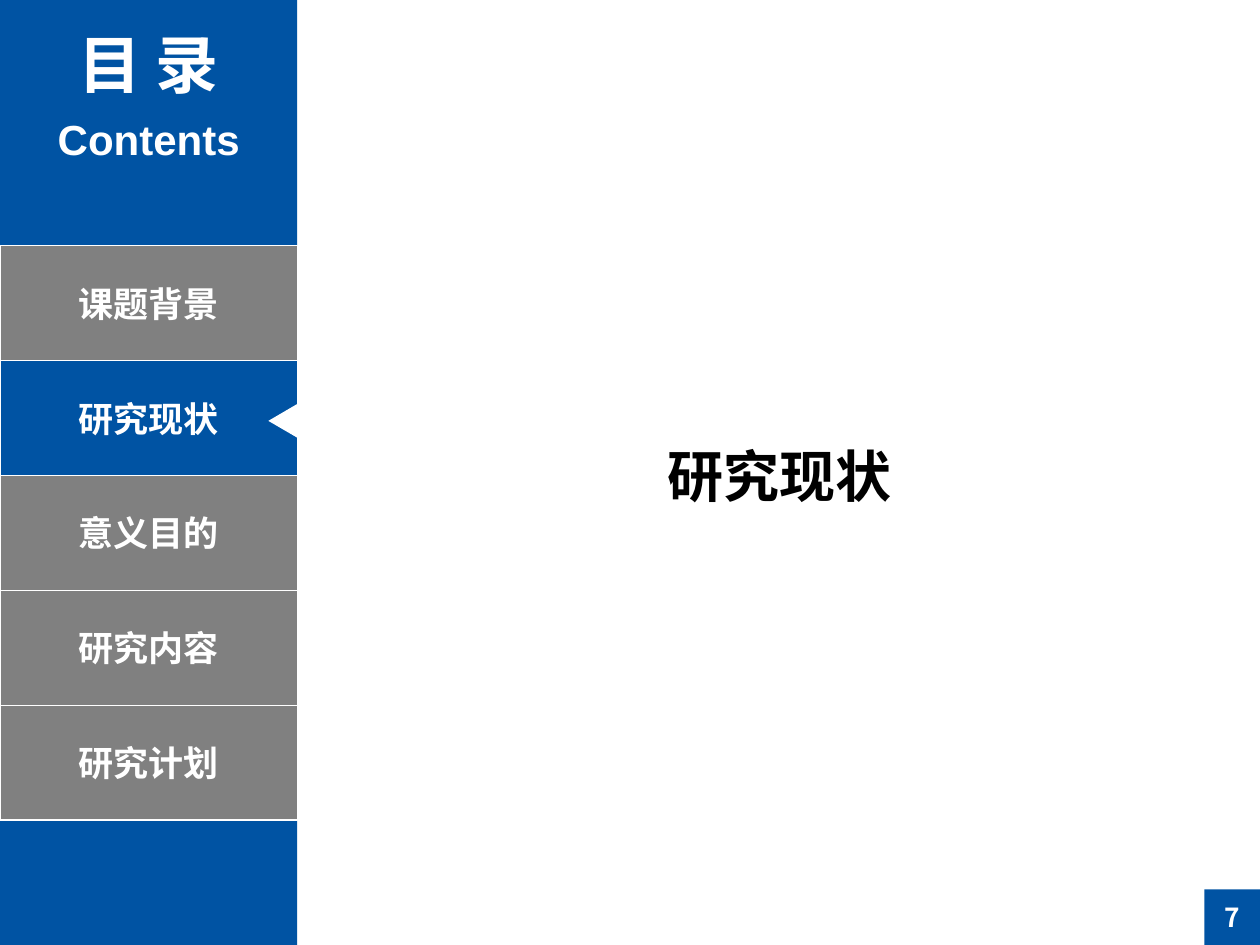
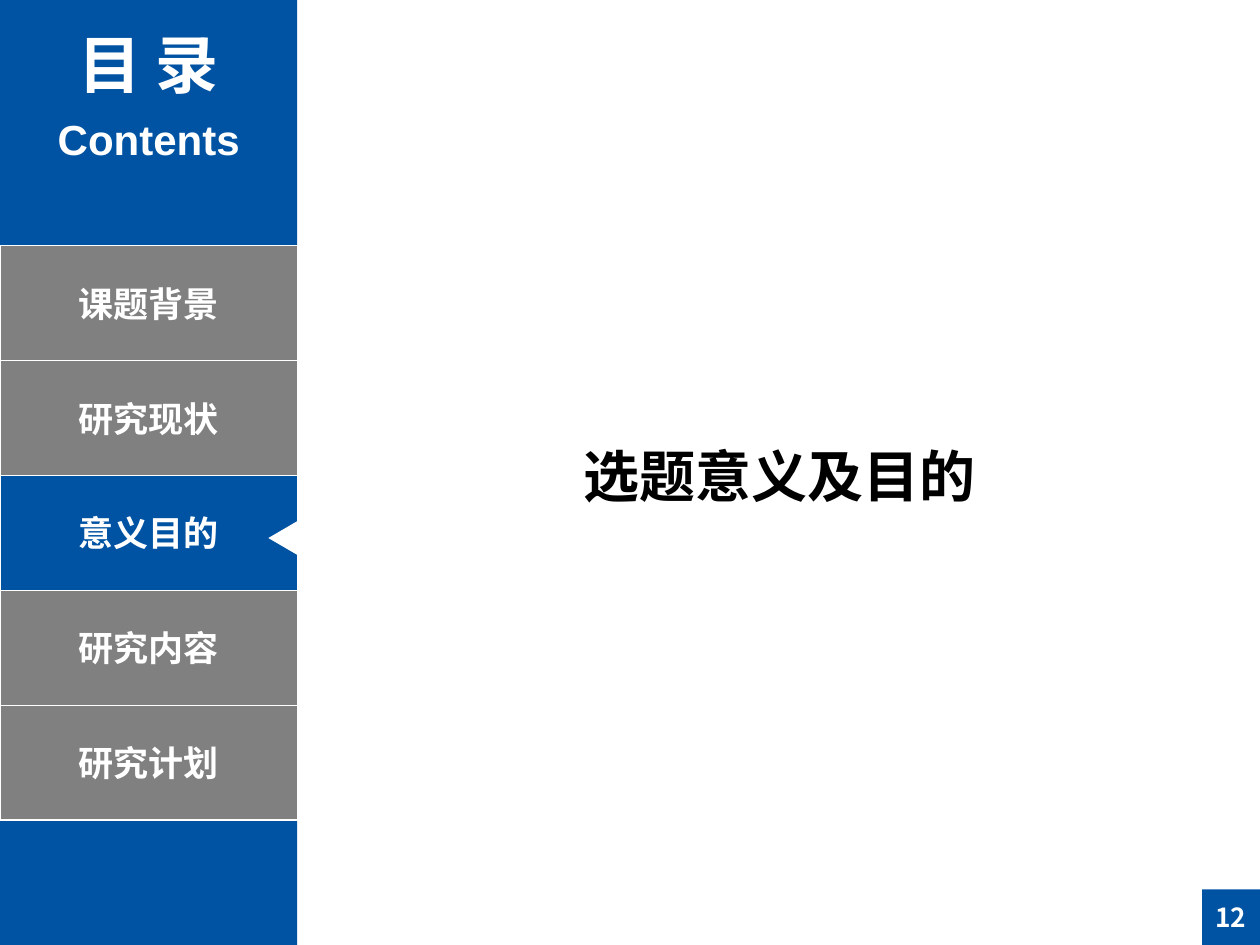
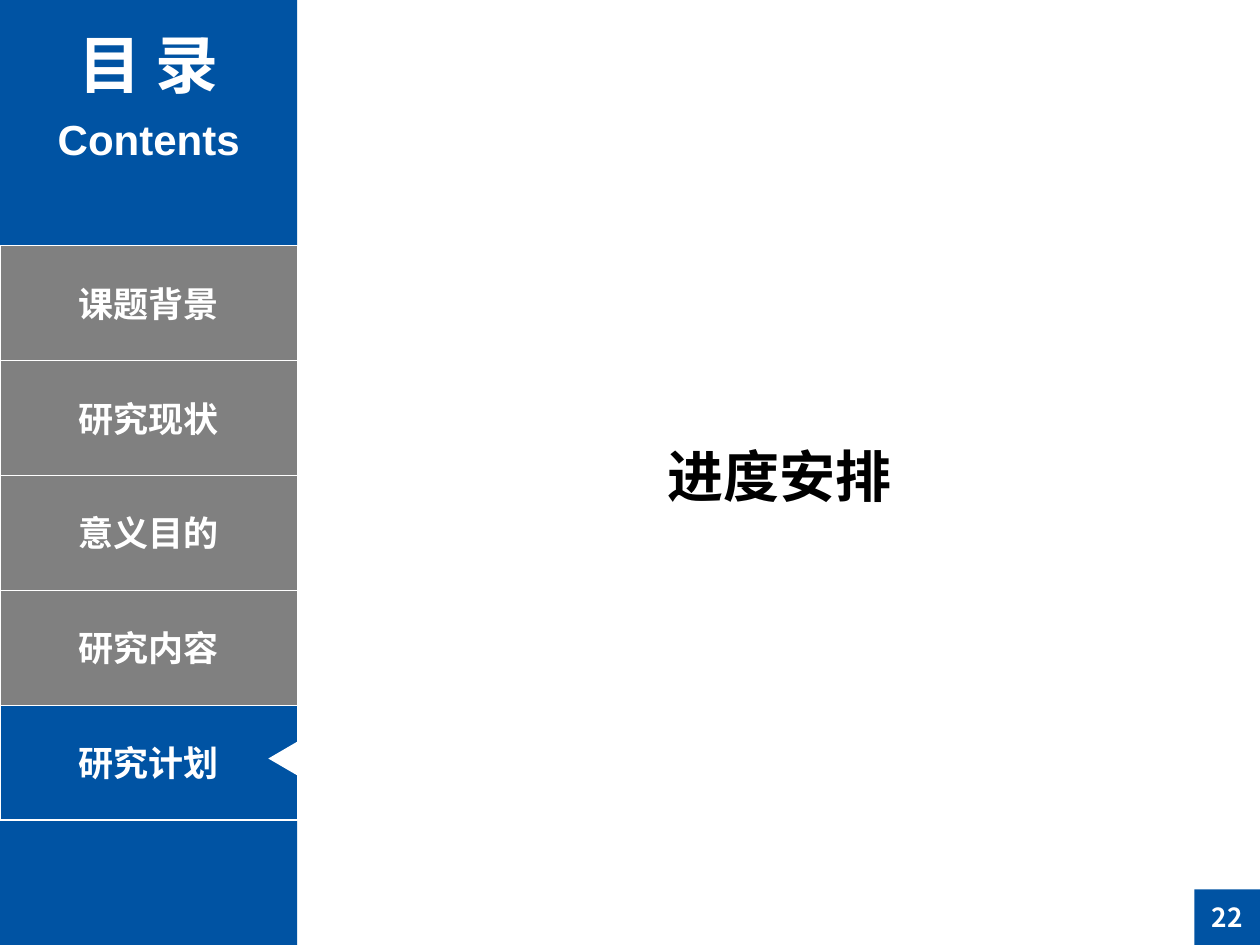
from dataclasses import dataclass

from pptx import Presentation
from pptx.dml.color import RGBColor
from pptx.enum.shapes import MSO_SHAPE
from pptx.enum.text import MSO_ANCHOR, MSO_AUTO_SIZE, PP_ALIGN
from pptx.oxml.ns import qn
from pptx.shapes.autoshape import Shape
from pptx.slide import Slide
from pptx.util import Inches, Pt

COLOURS = {"blue": "0053A3", "grey": "808080", "white": "FFFFFF", "black": "000000"}
CJK_FONT = "Noto Sans CJK SC"
LATIN_FONT = "Arial"

SLIDE_WIDTH, SLIDE_HEIGHT = 10, 7.5
SIDEBAR_WIDTH = 2.36
TOPICS = ("课题背景", "研究现状", "意义目的", "研究内容", "研究计划")
TABS_TOP, TABS_BOTTOM = 1.95, 6.51
TAB_HEIGHT = (TABS_BOTTOM - TABS_TOP) / len(TOPICS)
BADGE_HEIGHT = 0.44


@dataclass(frozen=True)
class Box:
    left: float
    top: float
    width: float
    height: float

    def lengths(self) -> tuple[int, int, int, int]:
        return (Inches(self.left), Inches(self.top),
                Inches(self.width), Inches(self.height))


@dataclass(frozen=True)
class Section:
    heading: str
    topic: str
    pointer_top: float
    page: int
    badge_width: float


@dataclass(frozen=True)
class Caption:
    text: str
    box: Box
    size: int


HEADING_BOX = Box(4.33, 3.45, 3.72, 0.64)
CAPTIONS = (
    Caption("目 录", Box(0.12, 0.15, 2.12, 0.71), 36),
    Caption("Contents", Box(0.12, 0.85, 2.12, 0.5), 24),
)
SECTIONS = (
    Section("研究现状", "研究现状", 3.22, 7, 0.44),
    Section("选题意义及目的", "意义目的", 4.15, 12, 0.46),
    Section("进度安排", "研究计划", 5.9, 22, 0.52),
)


def rgb(colour: str) -> RGBColor:
    return RGBColor.from_string(COLOURS[colour])


def write(shape: Shape, text: str, *, size: int, font: str = CJK_FONT,
          colour: str = "white", anchor: MSO_ANCHOR = MSO_ANCHOR.MIDDLE,
          grow: bool = False, side_margin: float = 0.1) -> None:
    """Put one bold, centred line of text in a shape."""
    frame = shape.text_frame
    frame.word_wrap = True
    frame.vertical_anchor = anchor
    frame.auto_size = MSO_AUTO_SIZE.SHAPE_TO_FIT_TEXT if grow else MSO_AUTO_SIZE.NONE
    frame.margin_left = frame.margin_right = Inches(side_margin)
    paragraph = frame.paragraphs[0]
    paragraph.alignment = PP_ALIGN.CENTER
    run = paragraph.add_run()
    run.text = text
    run.font.size = Pt(size)
    run.font.bold = True
    run.font.name = font
    run.font.color.rgb = rgb(colour)
    east_asian = run.font._element.makeelement(qn("a:ea"), {"typeface": CJK_FONT})
    run.font._element.find(qn("a:latin")).addnext(east_asian)


def add_block(slide: Slide, box: Box, fill: str, *, outline: str | None = None,
              kind: MSO_SHAPE = MSO_SHAPE.RECTANGLE) -> Shape:
    block = slide.shapes.add_shape(kind, *box.lengths())
    block.shadow.inherit = False
    block.fill.solid()
    block.fill.fore_color.rgb = rgb(fill)
    if outline:
        block.line.color.rgb = rgb(outline)
        block.line.width = Pt(0.75)
    else:
        block.line.fill.background()
    return block


def add_sidebar(slide: Slide, section: Section) -> None:
    add_block(slide, Box(0, 0, SIDEBAR_WIDTH, SLIDE_HEIGHT), "blue")
    captions = slide.shapes.add_group_shape()
    for caption in CAPTIONS:
        label = captions.shapes.add_textbox(*caption.box.lengths())
        write(label, caption.text, size=caption.size, font=LATIN_FONT,
              anchor=MSO_ANCHOR.TOP, grow=True)
    for row, topic in enumerate(TOPICS):
        tab_box = Box(0, TABS_TOP + row * TAB_HEIGHT, SIDEBAR_WIDTH, TAB_HEIGHT)
        fill = "blue" if topic == section.topic else "grey"
        write(add_block(slide, tab_box, fill, outline="white"), topic, size=20)
    pointer = add_block(slide, Box(2.11, section.pointer_top, 0.28, 0.24), "white",
                        kind=MSO_SHAPE.ISOSCELES_TRIANGLE)
    pointer.rotation = 270


def add_page_badge(slide: Slide, section: Section) -> None:
    box = Box(SLIDE_WIDTH - section.badge_width, SLIDE_HEIGHT - BADGE_HEIGHT,
              section.badge_width, BADGE_HEIGHT)
    write(add_block(slide, box, "blue"), str(section.page), size=15, side_margin=0)


def add_heading(slide: Slide, heading: str) -> None:
    title = slide.shapes.title
    title.left, title.top, title.width, title.height = HEADING_BOX.lengths()
    write(title, heading, size=32, colour="black", anchor=MSO_ANCHOR.TOP, grow=True)


def main() -> None:
    deck = Presentation()
    deck.slide_width, deck.slide_height = Inches(SLIDE_WIDTH), Inches(SLIDE_HEIGHT)
    title_only = deck.slide_layouts[5]
    for section in SECTIONS:
        slide = deck.slides.add_slide(title_only)
        add_heading(slide, section.heading)
        add_sidebar(slide, section)
        add_page_badge(slide, section)
    deck.save("out.pptx")


if __name__ == "__main__":
    main()
